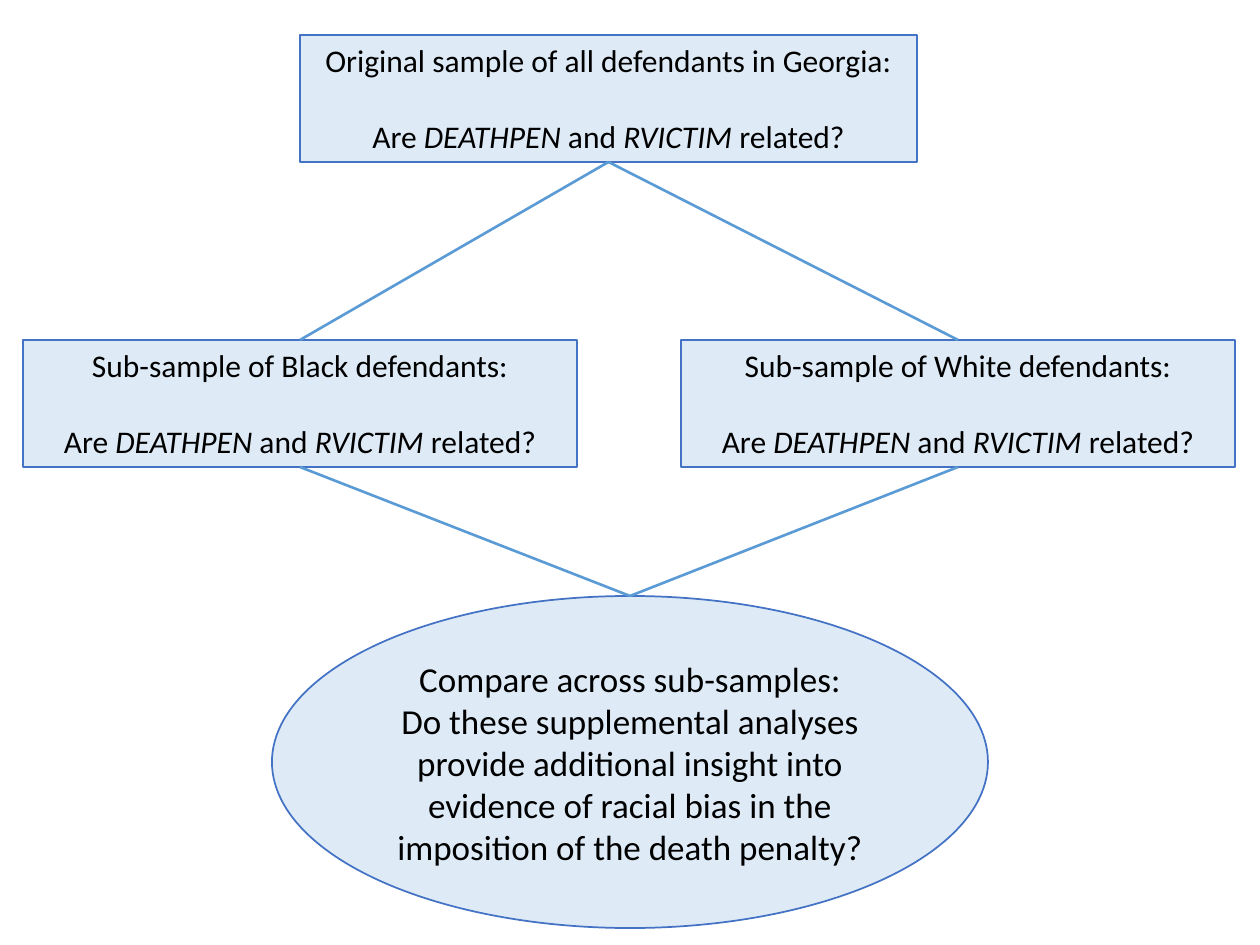
from pptx import Presentation
from pptx.dml.color import RGBColor
from pptx.enum.shapes import MSO_CONNECTOR, MSO_SHAPE
from pptx.enum.text import MSO_ANCHOR, MSO_AUTO_SIZE, PP_ALIGN
from pptx.oxml.ns import qn
from pptx.util import Emu, Pt
from lxml import etree

RECTANGLE, OVAL = MSO_SHAPE.RECTANGLE, MSO_SHAPE.OVAL
STRAIGHT = MSO_CONNECTOR.STRAIGHT
CENTER = PP_ALIGN.CENTER
TOP, MIDDLE = MSO_ANCHOR.TOP, MSO_ANCHOR.MIDDLE
FIT_SHAPE = MSO_AUTO_SIZE.SHAPE_TO_FIT_TEXT
TOP_SITE, BOTTOM_SITE = 0, 2
SCALE = 914400 / 126


def px(length):
    return Emu(round(length * SCALE))


def color(value):
    return RGBColor.from_string(value)


class Flowchart:
    """Draws the boxes, ellipse and links of a flowchart on one slide."""

    font, ink, fill, outline, link_color = "Calibri", "000000", "DEEBF7", "4472C4", "5B9BD5"

    def __init__(self, page):
        self.page = page

    def shape(self, kind, left, top, width, height, line_width):
        shape = self.page.shapes.add_shape(kind, px(left), px(top), px(width), px(height))
        shape.shadow.inherit = False
        shape.fill.solid()
        shape.fill.fore_color.rgb = color(self.fill)
        shape.line.color.rgb = color(self.outline)
        shape.line.width = Pt(line_width)
        shape.text_frame.word_wrap = True
        return shape

    def add_spans(self, para, spans, size):
        para.alignment = CENTER
        for text, italic in spans:
            span = para.add_run()
            span.text = text
            span.font.name = self.font
            span.font.size = Pt(size)
            span.font.italic = italic
            span.font.color.rgb = color(self.ink)

    def sample(self, left, top, width, title):
        box = self.shape(RECTANGLE, left, top, width, 127, 0.75)
        frame = box.text_frame
        frame.vertical_anchor = TOP
        frame.auto_size = FIT_SHAPE
        self.add_spans(frame.paragraphs[0], [(title, False)], 18)
        question = frame.add_paragraph()
        question.space_before = Pt(22)
        self.add_spans(question, [("Are ", False), ("DEATHPEN ", True), ("and ", False),
                                  ("RVICTIM ", True), ("related?", False)], 18)
        return box

    def conclusion(self, left, top, width, height, title, question):
        ellipse = self.shape(OVAL, left, top, width, height, 1)
        frame = ellipse.text_frame
        frame.vertical_anchor = MIDDLE
        self.add_spans(frame.paragraphs[0], [(title, False)], 20)
        self.add_spans(frame.add_paragraph(), [(question, False)], 20)
        return ellipse

    def link(self, upper, lower):
        line = self.page.shapes.add_connector(STRAIGHT, 0, 0, 0, 0)
        line.begin_connect(upper, BOTTOM_SITE)
        line.end_connect(lower, TOP_SITE)
        line.line.color.rgb = color(self.link_color)
        line.line.width = Pt(1.5)
        etree.SubElement(line._element.spPr, qn("a:effectLst"))


def main():
    deck = Presentation()
    deck.slide_width, deck.slide_height = px(1260), px(945)
    chart = Flowchart(deck.slides.add_slide(deck.slide_layouts[6]))
    everyone = chart.sample(300, 35, 617, "Original sample of all defendants in Georgia:")
    subsamples = [chart.sample(left, 340, 554, f"Sub-sample of {group} defendants:")
                  for left, group in ((23, "Black"), (681, "White"))]
    comparison = chart.conclusion(
        272, 596, 716, 332, "Compare across sub-samples:",
        "Do these supplemental analyses provide additional insight into "
        "evidence of racial bias in the imposition of the death penalty?")
    for subsample in subsamples:
        chart.link(everyone, subsample)
        chart.link(subsample, comparison)
    deck.save("out.pptx")


if __name__ == "__main__":
    main()
